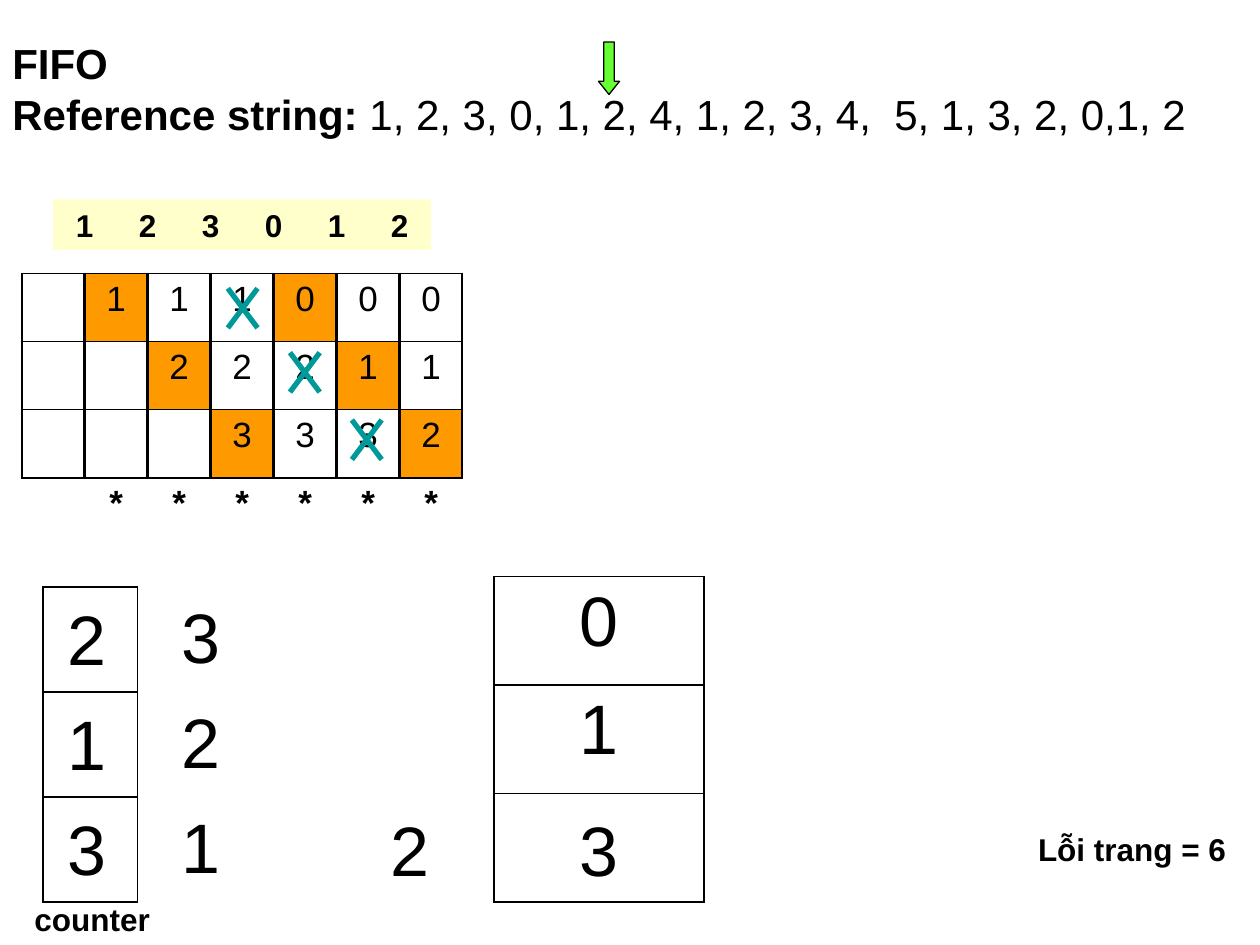
import pptx
import pptx.util
import pptx.dml.color
import pptx.enum.shapes
import pptx.enum.text
import pptx.oxml
import pptx.oxml.ns
import lxml.etree

Pt = pptx.util.Pt
RGB = pptx.dml.color.RGBColor.from_string
SHAPE = pptx.enum.shapes.MSO_SHAPE
CENTER = pptx.enum.text.PP_ALIGN.CENTER
A = pptx.oxml.ns.nsdecls("a")

theme = dict(font="Arial", ink="000000", header="FFFFCC", fault="FF9900",
             cross="009999", arrow="66FF33", label=18, cell=20, title=24, big=40,
             thick=1.08, thin=0.45)


def write(p, text, size=theme["label"], bold=False, align=None, before=None):
    p.alignment = align
    if before is not None:
        p.space_before = Pt(before)
    r = p.add_run()
    r.text = text
    r.font.name, r.font.size, r.font.bold = theme["font"], Pt(size), bold
    r.font.color.rgb = RGB(theme["ink"])


def add_grid(x, y, width, row_height, borders, texts, size, before, fault=None):
    """Add a one-column table; borders holds the left, right, top, bottom widths of each row."""
    rows = len(borders)
    table = s.shapes.add_table(rows, 1, Pt(x), Pt(y), Pt(width), Pt(row_height * rows)).table
    table.first_row = table.horz_banding = False
    table.columns[0].width = Pt(width)
    for i, widths in enumerate(borders):
        table.rows[i].height = Pt(row_height)
        cell = table.cell(i, 0)
        tcPr = cell._tc.get_or_add_tcPr()
        for side, w in zip("LRTB", widths):
            paint = f'<a:solidFill><a:srgbClr val="{theme["ink"]}"/></a:solidFill>' if w else "<a:noFill/>"
            tcPr.append(pptx.oxml.parse_xml(f'<a:ln{side} {A} w="{Pt(w)}">{paint}</a:ln{side}>'))
        if i == fault:
            cell.fill.solid()
            cell.fill.fore_color.rgb = RGB(theme["fault"])
        else:
            cell.fill.background()
        if texts[i]:
            write(cell.text_frame.paragraphs[0], texts[i], size=size, bold=texts[i] == "*",
                  align=CENTER, before=before)


prs = pptx.Presentation()
prs.slide_width, prs.slide_height = Pt(720), Pt(540)
s = prs.slides.add_slide(prs.slide_layouts[6])

# Title and reference string
tf = s.shapes.add_textbox(0, Pt(18), Pt(720), Pt(64.8)).text_frame
tf.word_wrap = True
write(tf.paragraphs[0], "FIFO", size=theme["title"], bold=True)
p = tf.add_paragraph()
write(p, "Reference string:", size=theme["title"], bold=True)
write(p, " 1, 2, 3, 0, 1, 2, 4, 1, 2, 3, 4,  5, 1, 3, 2, 0,1, 2", size=theme["title"])

# Page requests
step = 36
for i, page in enumerate("123012"):
    sp = s.shapes.add_shape(SHAPE.RECTANGLE, Pt(30.4 + i * step), Pt(114), Pt(step), Pt(28.8))
    sp.shadow.inherit = False
    sp.fill.solid()
    sp.fill.fore_color.rgb = RGB(theme["header"])
    sp.line.fill.background()
    sp.text_frame.vertical_anchor = pptx.enum.text.MSO_ANCHOR.TOP
    write(sp.text_frame.paragraphs[0], page, bold=True, align=CENTER, before=11.2)

# Frame contents after each request, with the row of the page fault
thick, thin = theme["thick"], theme["thin"]
frame_borders = [(thick, thick, thick, thin), (thick, thick, thin, thin),
                 (thick, thick, thin, thick), (0, 0, thick, 0)]
states = [(["", "", "", ""], None), (["1", "", "", "*"], 0), (["1", "2", "", "*"], 1),
          (["1", "2", "3", "*"], 2), (["0", "2", "3", "*"], 0),
          (["0", "1", "3", "*"], 1), (["0", "1", "2", "*"], 2)]
for i, (texts, fault) in enumerate(states):
    add_grid(12.6 + i * step, 156.3, 35.5, 38.9, frame_borders, texts, theme["cell"], 5, fault)

# Crosses over the replaced pages
for x, y in [(130.2, 164.8), (165.7, 201.5), (201.1, 240)]:
    w, h = 17, 22.6
    for x1, x2 in [(x, x + w), (x + w, x)]:
        line = s.shapes.add_connector(pptx.enum.shapes.MSO_CONNECTOR.STRAIGHT,
                                      Pt(x1), Pt(y), Pt(x2), Pt(y + h))
        line.line.width = Pt(3)
        line.line.color.rgb = RGB(theme["cross"])
        lxml.etree.SubElement(line._element.spPr, pptx.oxml.ns.qn("a:effectLst"))

# Arrow at the current request
arrow = s.shapes.add_shape(SHAPE.DOWN_ARROW, Pt(342), Pt(24), Pt(12), Pt(30))
arrow.adjustments[0], arrow.adjustments[1] = 0.5, 0.625
arrow.shadow.inherit = False
arrow.fill.solid()
arrow.fill.fore_color.rgb = RGB(theme["arrow"])
arrow.line.color.rgb = RGB(theme["ink"])
arrow.line.width = Pt(0.74)

# Memory and counter tables
box_borders = [(thick,) * 4] * 3
add_grid(282.3, 329.5, 120, 62, box_borders, ["0", "1", ""], theme["big"], 10)
add_grid(24.5, 335.5, 54, 60, box_borders, ["", "", ""], theme["big"], 0)

# Labels and large digits
big = theme["big"]
labels = [("Lỗi trang = 6", 586.1, 470.9, 126, 28.8, theme["label"], True),
          ("counter", 12.6, 510.5, 86, 28.8, theme["label"], True),
          ("2", 216, 457.2, 40, 55.4, big, False),
          ("3", 324, 457.2, 40, 55.4, big, False)]
for x, y, digits in [(31.7, 337, "213"), (96.5, 335.6, "321")]:
    labels += [(d, x, y + 60 * i, 40, 55.4, big, False) for i, d in enumerate(digits)]
for text, x, y, w, h, size, bold in labels:
    tf = s.shapes.add_textbox(Pt(x), Pt(y), Pt(w), Pt(h)).text_frame
    tf.word_wrap = True
    write(tf.paragraphs[0], text, size=size, bold=bold)

prs.save("out.pptx")
